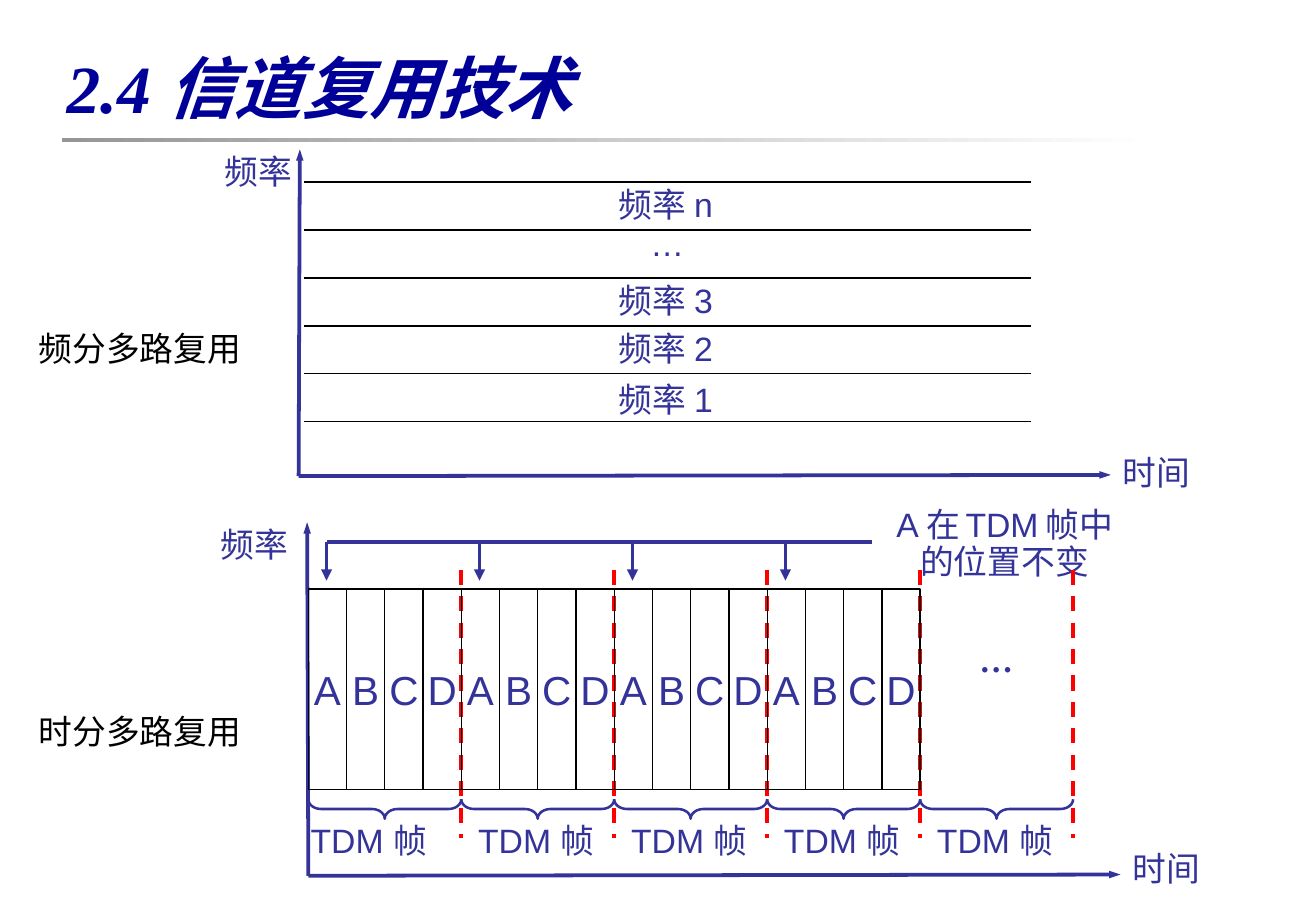
import pptx
import pptx.util
import pptx.dml.color
import pptx.enum.dml
import pptx.enum.shapes
import pptx.enum.text
import pptx.oxml.ns
import lxml.etree

Inches = pptx.util.Inches
Pt = pptx.util.Pt
SHAPE = pptx.enum.shapes.MSO_SHAPE
ALIGN = pptx.enum.text.PP_ALIGN
ANCHOR = pptx.enum.text.MSO_ANCHOR
qn = pptx.oxml.ns.qn

COLORS = {
    "title": "000099",
    "blue": "333399",
    "black": "000000",
    "red": "FF0000",
    "grey": "969696",
    "white": "FFFFFF",
}
SERIF, SANS, HAN = "Times New Roman", "Arial", "Noto Sans CJK SC"


class SlideBuilder:
    def __init__(self, page):
        self.page = page

    def color(self, name):
        return pptx.dml.color.RGBColor.from_string(COLORS[name])

    def add_span(self, para, text, size, font, color, bold=False, italic=False):
        span = para.add_run()
        span.text = text
        span.font.size = Pt(size)
        span.font.name = font
        span.font.bold = bold
        span.font.italic = italic
        span.font.color.rgb = self.color(color)
        east = lxml.etree.SubElement(span.font._element, qn("a:ea"))
        east.set("typeface", HAN)

    def text(self, left, top, width, height, lines, size=20, font=SANS, color="blue",
             bold=False, italic=False, align=ALIGN.LEFT, spacing=0.9, wrap=False,
             anchor=ANCHOR.TOP):
        box = self.page.shapes.add_textbox(
            Inches(left), Inches(top), Inches(width), Inches(height))
        frame = box.text_frame
        frame.word_wrap = wrap
        frame.vertical_anchor = anchor
        for index, line in enumerate(lines):
            para = frame.add_paragraph() if index else frame.paragraphs[0]
            para.alignment = align
            para.line_spacing = spacing
            for words, points in line:
                self.add_span(para, words, points or size, font, color, bold, italic)

    def label(self, left, top, width, height, words, **style):
        self.text(left, top, width, height, [[(words, None)]], **style)

    def line(self, start, end, color="blue", weight=2.25, arrow=None, dashed=False):
        link = self.page.shapes.add_connector(
            pptx.enum.shapes.MSO_CONNECTOR.STRAIGHT,
            Inches(start[0]), Inches(start[1]), Inches(end[0]), Inches(end[1]))
        link.line.color.rgb = self.color(color)
        link.line.width = Pt(weight)
        if dashed:
            link.line.dash_style = pptx.enum.dml.MSO_LINE.DASH
        if arrow:
            head = lxml.etree.SubElement(link.line._get_or_add_ln(), qn("a:tailEnd"))
            head.set("type", "triangle")
            head.set("w", arrow)
        lxml.etree.SubElement(link._element.spPr, qn("a:effectLst"))

    def shape(self, kind, left, top, width, height):
        item = self.page.shapes.add_shape(
            kind, Inches(left), Inches(top), Inches(width), Inches(height))
        item.shadow.inherit = False
        return item

    def gradient_rule(self, left, top, width, height):
        rule = self.shape(SHAPE.RECTANGLE, left, top, width, height)
        rule.line.fill.background()
        rule.fill.gradient()
        rule.fill.gradient_angle = 0
        for stop, name in zip(rule.fill.gradient_stops, ("grey", "white")):
            stop.color.rgb = self.color(name)

    def slot(self, left, top, width, height, letter):
        cell = self.shape(SHAPE.RECTANGLE, left, top, width, height)
        cell.fill.background()
        cell.line.color.rgb = self.color("black")
        cell.line.width = Pt(0.75)
        cell.text_frame.word_wrap = False
        cell.text_frame.vertical_anchor = ANCHOR.MIDDLE
        para = cell.text_frame.paragraphs[0]
        para.alignment = ALIGN.CENTER
        self.add_span(para, letter, 24, SANS, "blue")

    def brace_below(self, left, top, width, height):
        brace = self.shape(SHAPE.LEFT_BRACE, left + (width - height) / 2,
                           top - (width - height) / 2, height, width)
        brace.rotation = 270
        brace.adjustments[0] = 0.66
        brace.fill.background()
        brace.line.color.rgb = self.color("blue")
        brace.line.width = Pt(1.5)

    def axes(self, origin, top_end, right_end, frequency_at, time_at):
        self.line(origin, right_end, arrow="sm")
        self.line(origin, top_end, arrow="sm")
        self.label(*frequency_at, 0.9, 0.4, "频率", font=SERIF)
        self.label(*time_at, 0.9, 0.4, "时间", font=SERIF)


def draw_heading(builder):
    builder.gradient_rule(0.51, 1.14, 9, 0.03)
    builder.label(0.45, 0.28, 9.84, 0.87, "2.4 信道复用技术", size=40, font=SERIF,
                  color="title", bold=True, italic=True, spacing=1, wrap=True,
                  anchor=ANCHOR.MIDDLE)


def draw_frequency_division(builder):
    builder.axes((2.46, 3.92), (2.47, 1.23), (9.15, 3.91), (1.75, 1.23), (9.15, 3.71))
    for band in range(6):
        height = 1.5 + 0.394 * band
        builder.line((2.5, height), (8.49, height), color="black", weight=1)
    for words, top in (("频率 n", 1.5), ("频率 3", 2.29), ("频率 2", 2.69), ("频率 1", 3.11)):
        builder.label(5, top, 1.3, 0.4, words)
    builder.label(5.26, 1.82, 0.6, 0.4, "…")
    builder.label(0.22, 2.65, 2.1, 0.44, "频分多路复用", font=HAN, color="black", spacing=1)


def draw_time_division(builder):
    start, frame_width, full_frames = 2.54, 1.26, 4
    slot_width = frame_width / 4
    builder.axes((start, 7.21), (2.53, 4.3), (9.23, 7.2), (1.72, 4.3), (9.23, 6.97))
    builder.text(6.68, 4.14, 3.19, 0.7,
                 [[("A 在", 20), (" ", 14), ("TDM", 20), (" ", 14), ("帧中", 20)],
                  [("的位置不变", 20)]],
                 align=ALIGN.CENTER, wrap=True)
    builder.line((2.69, 4.46), (7.18, 4.46))
    for number in range(full_frames + 1):
        left = start + number * frame_width
        right = left + frame_width
        builder.brace_below(left, 6.58, frame_width, 0.16)
        builder.label(left + 0.04 if number else 2.46, 6.74, 1.4, 0.4, "TDM 帧")
        builder.line((right, 4.69), (right, 6.9), color="red", dashed=True)
        if number < full_frames:
            builder.line((left + 0.15, 4.46), (left + 0.15, 4.78), arrow="med")
            for place, letter in enumerate("ABCD"):
                builder.slot(left + place * slot_width, 4.85, slot_width, 1.65, letter)
    builder.label(7.97, 5.21, 0.6, 0.43, "…", font=SERIF, bold=True, spacing=1)
    builder.label(0.22, 5.8, 2.1, 0.44, "时分多路复用", font=HAN, color="black", spacing=1)


def main():
    deck = pptx.Presentation()
    deck.slide_width = Inches(10.84)
    deck.slide_height = Inches(7.5)
    builder = SlideBuilder(deck.slides.add_slide(deck.slide_layouts[6]))
    draw_heading(builder)
    draw_frequency_division(builder)
    draw_time_division(builder)
    deck.save("out.pptx")


if __name__ == "__main__":
    main()
